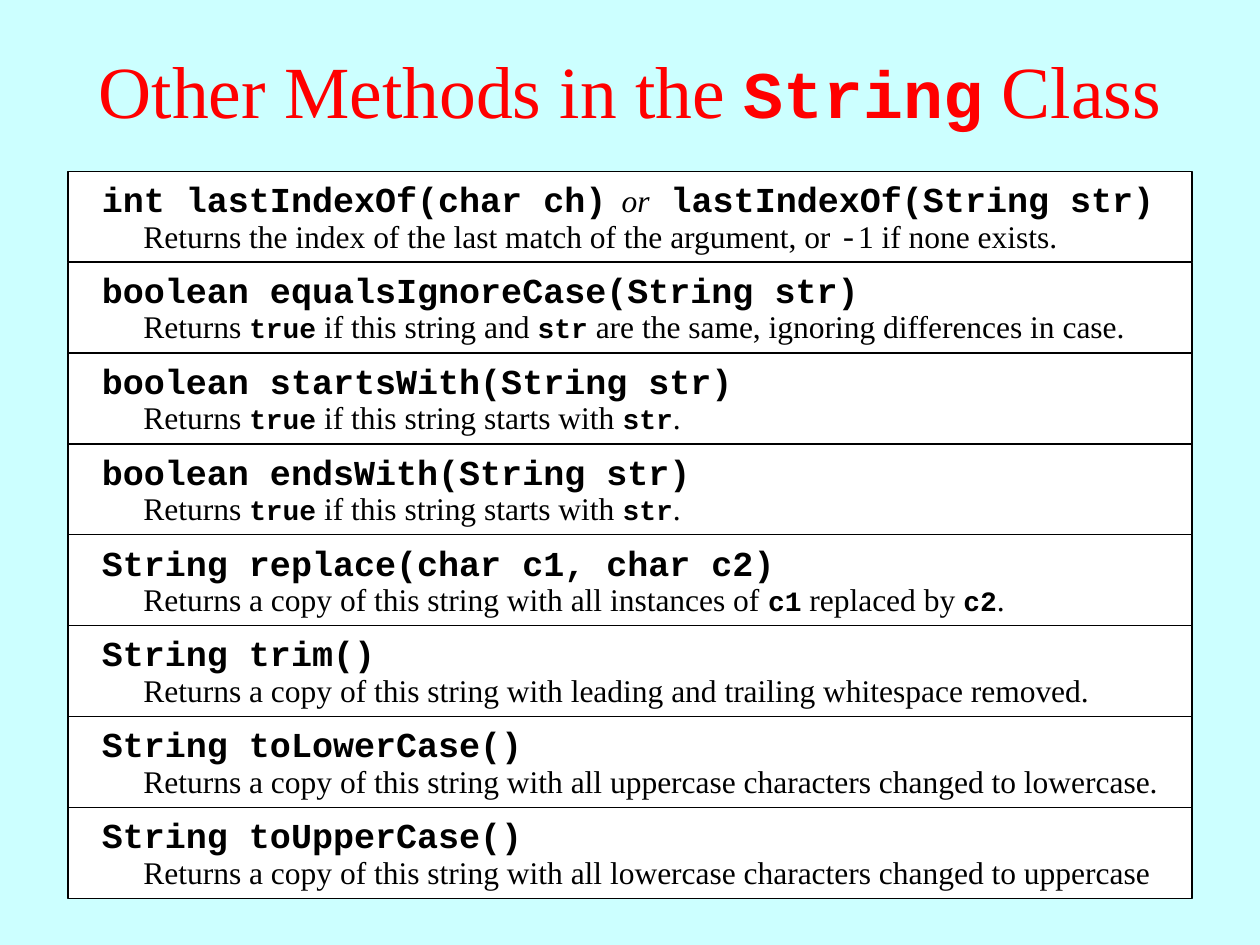
from typing import NamedTuple

from pptx import Presentation
from pptx.dml.color import RGBColor
from pptx.enum.shapes import MSO_SHAPE
from pptx.enum.text import MSO_ANCHOR, PP_ALIGN
from pptx.util import Inches, Pt

COLORS = {"background": "CCFFFF", "title": "FF0000", "text": "000000", "row": "FFFFFF"}
SERIF, MONO = "Times New Roman", "Courier New"
FORMATS = {
    "title": {"name": SERIF, "size": Pt(42)},
    "title code": {"name": MONO, "size": Pt(38), "bold": True},
    "signature": {"name": MONO, "size": Pt(20), "bold": True},
    "small gap": {"name": MONO, "size": Pt(14), "bold": True},
    "or": {"name": SERIF, "size": Pt(18), "italic": True},
    "description": {"name": SERIF, "size": Pt(18)},
    "sign": {"name": MONO, "size": Pt(18)},
    "code": {"name": MONO, "size": Pt(16), "bold": True},
}
TABLE_LEFT, TABLE_TOP, TABLE_WIDTH, TABLE_HEIGHT = 0.54, 1.36, 8.92, 5.77


class Span(NamedTuple):
    text: str
    style: str


class Box(NamedTuple):
    left: float
    top: float
    width: float
    height: float


class Method(NamedTuple):
    signature: list[Span]
    description: list[Span]


def color(name: str) -> RGBColor:
    return RGBColor.from_string(COLORS[name])


def signature(text: str) -> list[Span]:
    return [Span(text, "signature")]


def description(*parts: str) -> list[Span]:
    """Alternate plain text and code, starting with plain text."""
    return [Span(part, ("description", "code")[index % 2])
            for index, part in enumerate(parts)]


METHODS = [
    Method(
        [Span("int lastIndexOf(char ch)", "signature"), Span(" ", "small gap"),
         Span("or", "or"), Span(" lastIndexOf(String str)", "signature")],
        [Span("Returns the index of the last match of the argument, or ", "description"),
         Span("-", "sign"), Span("1 if none exists.", "description")],
    ),
    Method(signature("boolean equalsIgnoreCase(String str)"),
           description("Returns ", "true", " if this string and ", "str",
                       " are the same, ignoring differences in case.")),
    Method(signature("boolean startsWith(String str)"),
           description("Returns ", "true", " if this string starts with ", "str", ".")),
    Method(signature("boolean endsWith(String str)"),
           description("Returns ", "true", " if this string starts with ", "str", ".")),
    Method(signature("String replace(char c1, char c2)"),
           description("Returns a copy of this string with all instances of ", "c1",
                       " replaced by ", "c2", ".")),
    Method(signature("String trim()"),
           description("Returns a copy of this string with leading and trailing "
                       "whitespace removed.")),
    Method(signature("String toLowerCase()"),
           description("Returns a copy of this string with all uppercase characters "
                       "changed to lowercase.")),
    Method(signature("String toUpperCase()"),
           description("Returns a copy of this string with all lowercase characters "
                       "changed to uppercase")),
]


def add_text(shapes, box: Box, spans: list[Span], color_name: str = "text",
             alignment=PP_ALIGN.LEFT, anchor=MSO_ANCHOR.TOP) -> None:
    frame = shapes.add_textbox(*map(Inches, box)).text_frame
    frame.word_wrap = True
    frame.vertical_anchor = anchor
    paragraph = frame.paragraphs[0]
    paragraph.alignment = alignment
    for span in spans:
        run = paragraph.add_run()
        run.text = span.text
        run.font.color.rgb = color(color_name)
        for attribute, value in FORMATS[span.style].items():
            setattr(run.font, attribute, value)


def add_method(slide, method: Method, top: float, height: float) -> None:
    group = slide.shapes.add_group_shape()
    row = group.shapes.add_shape(
        MSO_SHAPE.RECTANGLE, *map(Inches, (TABLE_LEFT, top, TABLE_WIDTH, height)))
    row.shadow.inherit = False
    row.fill.solid()
    row.fill.fore_color.rgb = color("row")
    row.line.color.rgb = color("text")
    row.line.width = Pt(0.75)
    add_text(group.shapes, Box(0.71, top, 8.58, 0.44), method.signature)
    add_text(group.shapes, Box(1.04, top + 0.31, 8.33, 0.4), method.description)


def main() -> None:
    presentation = Presentation()
    presentation.slide_width, presentation.slide_height = Inches(10), Inches(7.5)
    slide = presentation.slides.add_slide(presentation.slide_layouts[6])
    slide.background.fill.solid()
    slide.background.fill.fore_color.rgb = color("background")

    title = [Span("Other Methods in the ", "title"), Span("String", "title code"),
             Span(" Class", "title")]
    add_text(slide.shapes, Box(0, 0.08, 10, 1.25), title, "title",
             PP_ALIGN.CENTER, MSO_ANCHOR.MIDDLE)

    row_height = TABLE_HEIGHT / len(METHODS)
    for index, method in enumerate(METHODS):
        add_method(slide, method, TABLE_TOP + index * row_height, row_height)
    presentation.save("out.pptx")


if __name__ == "__main__":
    main()
